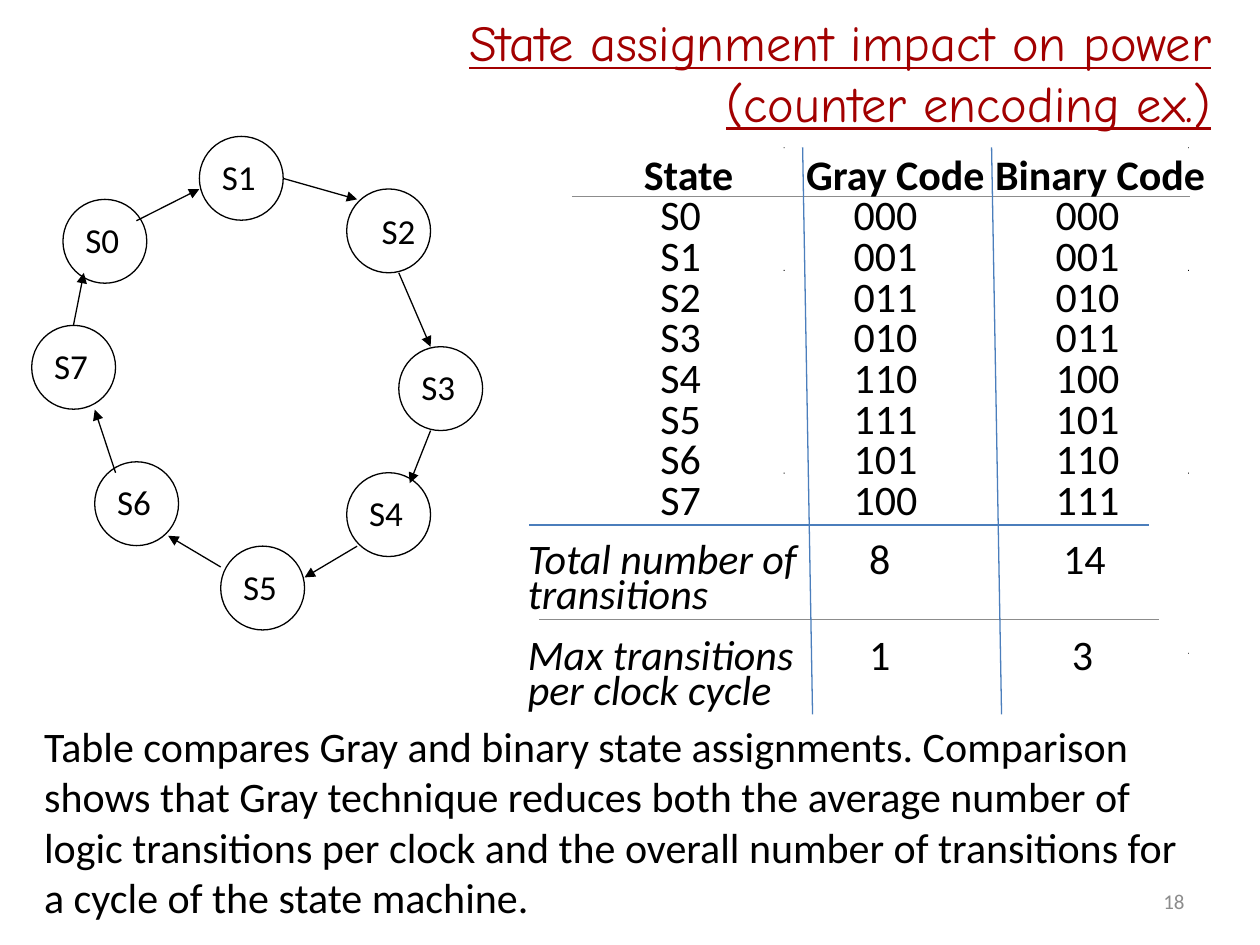
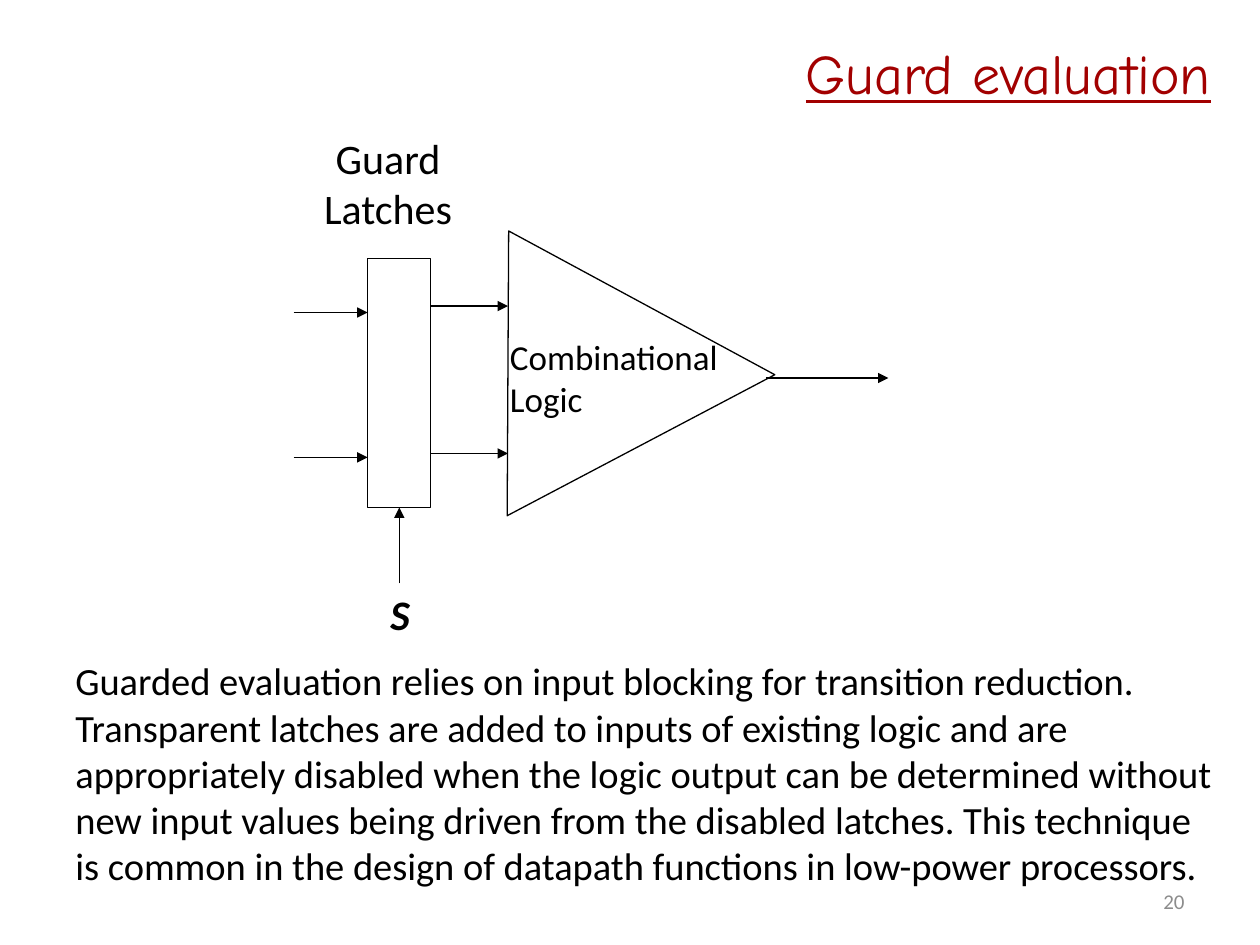
from itertools import product

from lxml.etree import SubElement
from pptx import Presentation
from pptx.dml.color import RGBColor
from pptx.enum.shapes import MSO_CONNECTOR, MSO_SHAPE
from pptx.enum.text import MSO_ANCHOR, MSO_AUTO_SIZE, PP_ALIGN
from pptx.oxml.ns import qn
from pptx.util import Cm, Pt

BLACK, RED, BLUE, GREY = "000000", "A20000", "4B7EBC", "8C8C8C"
BODY, HEAD = "Calibri", "Comic Neue"
NO_STYLE = "{2D5ABB26-0587-4C30-8999-92F81FD0307C}"
TITLE_BOX = (0.84, 0.56, 23.83, 1.78)
PAGE_BOX = (18.21, 17.65, 5.92, 1.02)

# Counter slide, lengths in cm
COUNTER = {
    "title": "State assignment impact on power\n(counter encoding ex.)",
    "size": 28.8,
    "page": "18",
}
COUNTER_NOTE = (
    "Table compares Gray and binary state assignments. Comparison shows that "
    "Gray technique reduces both the average number of logic transitions per "
    "clock and the overall number of transitions for a cycle of the state machine."
)
NODE = 1.69
STATES = [(1.27, 4.02), (4.02, 2.75), (6.99, 3.81), (8.04, 6.99),
          (6.99, 9.53), (4.45, 11.01), (1.91, 9.31), (0.64, 6.56)]
STEPS = [
    (2.75, 4.45, 4.02, 3.81), (5.72, 3.6, 7.2, 4.02),
    (8.04, 5.5, 8.68, 6.99), (8.68, 8.68, 8.26, 9.74),
    (7.2, 11.01, 6.14, 11.64), (4.45, 11.43, 3.39, 10.8),
    (2.33, 9.53, 1.91, 8.26), (1.48, 6.56, 1.69, 5.5),
]
LABELS = ("State", "Gray Code", "Binary Code")
GRAY = ["000", "001", "011", "010", "110", "111", "101", "100"]
BINARY = ["000", "001", "010", "011", "100", "101", "110", "111"]
TOTALS = [("Total number of transitions", "8", "14"),
          ("Max transitions per clock cycle", "1", "3")]
LABEL_INSETS = (2.34, 0.05, 0.05)
CODE_INSETS = (2.67, 1.01, 1.27)
TOTAL_INSETS = [(0, 1.32, 1.42), (0, 1.32, 1.6)]
GRID_LEFT, GRID_TOP = 10.64, 3.25
COL_WIDTHS = (5.56, 3.81, 4.57)
CODE_ROW, TOTAL_ROW = 0.82, 1.92
RULES = [  # ends, colour, width in points
    ((11.53, 3.96, 23.98, 3.96), GREY, 0.25),
    ((10.67, 10.58, 23.16, 10.58), BLUE, 1),
    ((10.87, 12.49, 23.37, 12.49), GREY, 0.5),
    ((16.18, 2.97, 16.38, 14.4), BLUE, 0.75),
    ((19.99, 2.97, 20.19, 14.4), BLUE, 0.75),
]
TICK_XS, TICK_YS = (15.8, 23.95), (2.97, 5.44, 9.53, 13.16)

# Guard slide, lengths in cm
GUARD = {"title": "Guard evaluation", "size": 32, "page": "20"}
GUARD_NOTE = (
    "Guarded evaluation relies on input blocking for transition reduction. "
    "Transparent latches are added to inputs of existing logic and are "
    "appropriately disabled when the logic output can be determined without "
    "new input values being driven from the disabled latches. This technique "
    "is common in the design of datapath functions in low-power processors."
)
LATCH = (7.41, 5.21, 1.27, 5.02)
LOGIC = (10.06, 4.85, 5.74, 5.38)
SIGNALS = [
    (5.92, 6.3, 7.41, 6.3), (5.92, 9.22, 7.41, 9.22),
    (8.68, 6.17, 10.24, 6.17), (8.68, 9.14, 10.24, 9.14),
    (8.05, 11.76, 8.05, 10.23), (15.44, 7.62, 17.91, 7.62),
]


def cms(values):
    return [Cm(value) for value in values]


def color(code):
    return RGBColor.from_string(code)


def style(frame, size, code=BLACK, font=BODY, align=None, **flags):
    """Format all runs; flags are font attributes such as bold."""
    for para in frame.paragraphs:
        para.alignment = align
        for run in para.runs:
            run.font.size, run.font.name = Pt(size), font
            run.font.color.rgb = color(code)
            for name, value in flags.items():
                setattr(run.font, name, value)


def add_text(slide, box, text, size, **looks):
    frame = slide.shapes.add_textbox(*cms(box)).text_frame
    frame.word_wrap = True
    frame.text = text
    style(frame, size, **looks)
    return frame


def add_form(slide, kind, box, fill=None):
    """Add an outlined shape, or a solid one without outline."""
    form = slide.shapes.add_shape(kind, *cms(box))
    form.shadow.inherit = False
    if fill:
        form.fill.solid()
        form.fill.fore_color.rgb = color(fill)
        form.line.fill.background()
    else:
        form.fill.background()
        form.line.color.rgb = color(BLACK)
        form.line.width = Pt(0.75)
    return form


def add_line(slide, ends, code=BLACK, width=0.75, arrow=False):
    link = slide.shapes.add_connector(MSO_CONNECTOR.STRAIGHT, *cms(ends))
    link.line.color.rgb = color(code)
    link.line.width = Pt(width)
    props = link._element.spPr
    if arrow:
        SubElement(props.find(qn("a:ln")), qn("a:tailEnd"), type="triangle")
    SubElement(props, qn("a:effectLst"))


def add_slide(deck, head):
    slide = deck.slides.add_slide(deck.slide_layouts[5])
    title = slide.shapes.title
    title.left, title.top, title.width, title.height = cms(TITLE_BOX)
    frame = title.text_frame
    frame.text = head["title"]
    frame.auto_size = MSO_AUTO_SIZE.NONE
    frame.vertical_anchor = MSO_ANCHOR.MIDDLE
    style(frame, head["size"], RED, HEAD, PP_ALIGN.RIGHT, underline=True)
    page = add_text(slide, PAGE_BOX, head["page"], 12, code=GREY,
                    align=PP_ALIGN.RIGHT)
    page.vertical_anchor = MSO_ANCHOR.MIDDLE
    return slide


def fill_row(table, index, texts, insets, lead, top=0, **flags):
    """Write one row; lead is the exact line spacing in points."""
    for col, (text, inset) in enumerate(zip(texts, insets)):
        cell = table.cell(index, col)
        cell.text = text
        cell.margin_left, cell.margin_top = Cm(inset), Cm(top)
        cell.margin_right = cell.margin_bottom = 0
        cell.text_frame.paragraphs[0].line_spacing = Pt(lead)
        style(cell.text_frame, 24, **flags)


def add_codes(slide):
    codes = [(f"S{i}", *pair) for i, pair in enumerate(zip(GRAY, BINARY))]
    heights = [CODE_ROW] * (1 + len(codes)) + [TOTAL_ROW] * len(TOTALS)
    box = (GRID_LEFT, GRID_TOP, sum(COL_WIDTHS), sum(heights))
    table = slide.shapes.add_table(len(heights), len(COL_WIDTHS),
                                   *cms(box)).table
    table.first_row = table.horz_banding = False
    table._tbl.tblPr.find(qn("a:tableStyleId")).text = NO_STYLE
    for col, width in zip(table.columns, COL_WIDTHS):
        col.width = Cm(width)
    for row, height in zip(table.rows, heights):
        row.height = Cm(height)
    fill_row(table, 0, LABELS, LABEL_INSETS, 23, bold=True)
    for i, texts in enumerate(codes, 1):
        fill_row(table, i, texts, CODE_INSETS, 23)
    for i, (texts, insets) in enumerate(zip(TOTALS, TOTAL_INSETS),
                                        1 + len(codes)):
        fill_row(table, i, texts, insets, 20, 0.48)
        style(table.cell(i, 0).text_frame, 24, italic=True)


def add_ring(slide):
    for i, spot in enumerate(STATES):
        node = add_form(slide, MSO_SHAPE.OVAL, (*spot, NODE, NODE))
        frame = node.text_frame
        frame.word_wrap = False
        frame.margin_top = 0
        frame.margin_bottom = Cm(0 if i == 2 else 0.08)
        frame.margin_left = Cm(0.4 if i == 2 else 0)
        frame.margin_right = Cm(0 if i == 2 else 0.1)
        frame.vertical_anchor = MSO_ANCHOR.MIDDLE
        frame.text = f"S{i}"
        style(frame, 20, align=PP_ALIGN.CENTER)
    for step in STEPS:
        add_line(slide, step, arrow=True)


def build_counter(deck):
    slide = add_slide(deck, COUNTER)
    for rule in RULES:
        add_line(slide, *rule)
    add_codes(slide)
    for x, y in product(TICK_XS, TICK_YS):
        add_form(slide, MSO_SHAPE.RECTANGLE, (x, y, 0.02, 0.02), BLACK)
    add_ring(slide)
    add_text(slide, (0.64, 14.4, 23.93, 4.37), COUNTER_NOTE, 24)


def build_guard(deck):
    slide = add_slide(deck, GUARD)
    add_form(slide, MSO_SHAPE.RECTANGLE, LATCH)
    add_form(slide, MSO_SHAPE.FLOWCHART_MERGE, LOGIC).rotation = 270.3
    for signal in SIGNALS:
        add_line(slide, signal, arrow=True)
    add_text(slide, (5.92, 2.54, 3.81, 2.31), "Guard\nLatches", 24,
             align=PP_ALIGN.CENTER)
    add_text(slide, (10.03, 6.63, 5.16, 1.96), "Combinational\nLogic", 20)
    add_text(slide, (7.62, 11.73, 2.54, 1.27), "S", 24, bold=True, italic=True)
    add_text(slide, (1.27, 13.13, 23.5, 4.95), GUARD_NOTE, 22)


def main():
    deck = Presentation()
    deck.slide_width, deck.slide_height = Cm(25.4), Cm(19.05)
    build_counter(deck)
    build_guard(deck)
    deck.save("out.pptx")


if __name__ == "__main__":
    main()
